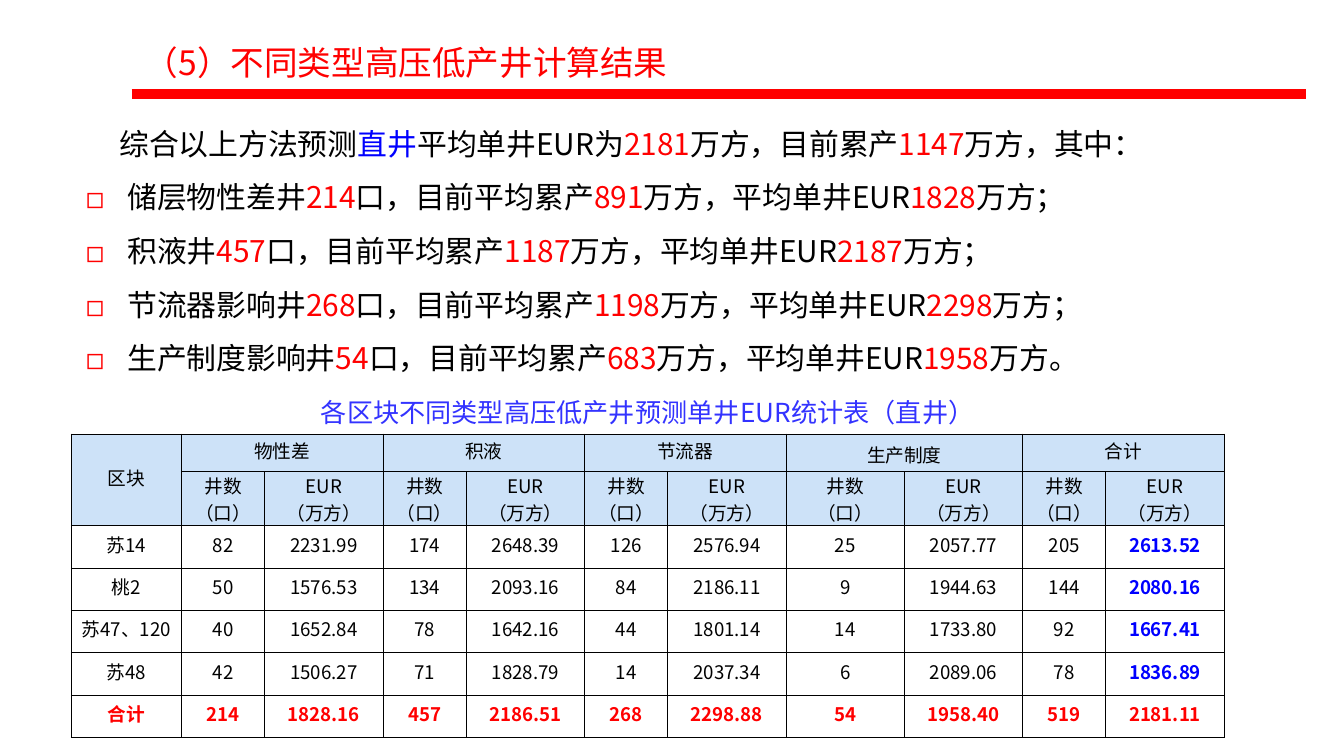
"""Build the slide of EUR results for the types of high-pressure, low-yield wells."""
import lxml.etree
import pptx
import pptx.dml.color
import pptx.enum.shapes
import pptx.enum.text
import pptx.oxml
import pptx.oxml.ns
import pptx.util

Inches, Pt = pptx.util.Inches, pptx.util.Pt
ALIGN = pptx.enum.text.PP_ALIGN
ANCHOR = pptx.enum.text.MSO_ANCHOR
qn = pptx.oxml.ns.qn

TITLE = "（5）不同类型高压低产井计算结果"
SUMMARY = [
    ("综合以上方法预测", "ink"), ("直井", "blue"), ("平均单井EUR为", "ink"), ("2181", "red"),
    ("万方，目前累产", "ink"), ("1147", "red"), ("万方，其中：", "ink"),
]
WELL_TYPES = [
    ("储层物性差井", "214", "891", "1828", "；"),
    ("积液井", "457", "1187", "2187", "；"),
    ("节流器影响井", "268", "1198", "2298", "；"),
    ("生产制度影响井", "54", "683", "1958", "。"),
]
CAPTION = "各区块不同类型高压低产井预测单井EUR统计表（直井）"
BLOCK_HEAD = "区块"
GROUPS = ["物性差", "积液", "节流器", "生产制度", "合计"]
MEASURES = ["井数\n（口）", "EUR\n（万方）"]
BLOCKS = [
    ("苏14", "82", "2231.99", "174", "2648.39", "126", "2576.94", "25", "2057.77", "205", "2613.52"),
    ("桃2", "50", "1576.53", "134", "2093.16", "84", "2186.11", "9", "1944.63", "144", "2080.16"),
    ("苏47、120", "40", "1652.84", "78", "1642.16", "44", "1801.14", "14", "1733.80", "92", "1667.41"),
    ("苏48", "42", "1506.27", "71", "1828.79", "14", "2037.34", "6", "2089.06", "78", "1836.89"),
    ("合计", "214", "1828.16", "457", "2186.51", "268", "2298.88", "54", "1958.40", "519", "2181.11"),
]

THEME = {
    "font": "Noto Sans CJK SC", "caption_font": "Noto Sans CJK JP",
    "ink": "000000", "red": "FF0000", "blue": "0000FF", "caption_blue": "3333FF", "head": "9DC8F3",
    "head_alpha": 51000, "title": 18, "body": 16, "caption": 14, "cell": 10, "rule": 5.25, "border": 0.5,
}
BOX_FORMAT = {
    "word_wrap": True, "margin_left": Inches(0.1), "margin_right": Inches(0.1),
    "margin_top": Inches(0.05), "margin_bottom": Inches(0.05),
}
CELL_FORMAT = {
    "vertical_anchor": ANCHOR.MIDDLE, "margin_left": Inches(0.01), "margin_right": Inches(0.01),
    "margin_top": Inches(0.01), "margin_bottom": Inches(0.05),
}
LOOSE_CELL_FORMAT = {
    "vertical_anchor": ANCHOR.TOP, "margin_top": Inches(0.05), "margin_bottom": Inches(0.02),
}
TIGHT_CELL_FORMAT = {**CELL_FORMAT, "margin_top": 0, "margin_bottom": 0}
TABLE_LEFT, TABLE_TOP, TABLE_WIDTH, TABLE_HEIGHT = 0.53, 3.23, 8.58, 2.25
BLOCK_WIDTH, COUNT_WIDTH, EUR_WIDTH = 0.82, 0.62, 0.88
HEAD_HEIGHTS = [0.28, 0.39]


def color(key):
    return pptx.dml.color.RGBColor.from_string(THEME[key])


def apply(target, values):
    for attribute, value in values.items():
        setattr(target, attribute, value)


def write(paragraph, pieces, size, align, font="font", bold=False):
    paragraph.alignment = align
    for text, ink in pieces:
        run = paragraph.add_run()
        run.text = text
        apply(run.font, {"name": THEME[font], "size": Pt(THEME[size]), "bold": bold})
        run.font.color.rgb = color(ink)
        east_asian = lxml.etree.SubElement(run.font._element, qn("a:ea"))
        east_asian.set("typeface", THEME[font])


def add_box(slide, left, top, width, height):
    frame = slide.shapes.add_textbox(*map(Inches, (left, top, width, height))).text_frame
    apply(frame, BOX_FORMAT)
    return frame


def add_bullet(paragraph):
    properties = paragraph._p.get_or_add_pPr()
    properties.set("marL", str(Inches(0.31)))
    properties.set("indent", str(-Inches(0.31)))
    tint = lxml.etree.SubElement(properties, qn("a:buClr"))
    lxml.etree.SubElement(tint, qn("a:srgbClr")).set("val", THEME["red"])
    lxml.etree.SubElement(properties, qn("a:buFont")).set("typeface", THEME["font"])
    lxml.etree.SubElement(properties, qn("a:buChar")).set("char", "◻")


def add_findings(slide):
    frame = add_box(slide, 0.54, 0.75, 9.1, 2.12)
    summary = frame.paragraphs[0]
    summary.line_spacing = 1.5
    summary._p.get_or_add_pPr().set("indent", str(Inches(0.25)))
    write(summary, SUMMARY, "body", ALIGN.JUSTIFY)
    for name, wells, produced, eur, ending in WELL_TYPES:
        finding = frame.add_paragraph()
        finding.line_spacing = 1.5
        add_bullet(finding)
        pieces = [(name, "ink"), (wells, "red"), ("口，目前平均累产", "ink"), (produced, "red"),
                  ("万方，平均单井EUR", "ink"), (eur, "red"), ("万方" + ending, "ink")]
        write(finding, pieces, "body", ALIGN.JUSTIFY)


def add_borders(cell):
    properties = cell._tc.get_or_add_tcPr()
    for position, side in enumerate(("a:lnL", "a:lnR", "a:lnT", "a:lnB")):
        border = properties.makeelement(qn(side), {"w": str(Pt(THEME["border"]))})
        fill = lxml.etree.SubElement(border, qn("a:solidFill"))
        lxml.etree.SubElement(fill, qn("a:srgbClr")).set("val", THEME["ink"])
        properties.insert(position, border)


def fill_cell(cell, text, ink="ink", bold=False, header=False, layout=CELL_FORMAT):
    apply(cell, layout)
    if header:
        cell.fill.solid()
        cell.fill.fore_color.rgb = color("head")
        tint = cell._tc.tcPr.find(".//" + qn("a:srgbClr"))
        lxml.etree.SubElement(tint, qn("a:alpha")).set("val", str(THEME["head_alpha"]))
    else:
        cell.fill.background()
    add_borders(cell)
    cell.text_frame.paragraphs[0].font.size = Pt(THEME["cell"])
    for index, line in enumerate(text.split("\n") if text else []):
        paragraph = cell.text_frame.add_paragraph() if index else cell.text_frame.paragraphs[0]
        write(paragraph, [(line, ink)], "cell", ALIGN.CENTER, bold=bold)


def add_statistics(slide):
    widths = [BLOCK_WIDTH]
    for group in GROUPS:
        widths += [EUR_WIDTH if group == "生产制度" else COUNT_WIDTH, EUR_WIDTH]
    body_height = (TABLE_HEIGHT - sum(HEAD_HEIGHTS)) / len(BLOCKS)
    heights = HEAD_HEIGHTS + [body_height] * len(BLOCKS)
    area = map(Inches, (TABLE_LEFT, TABLE_TOP, TABLE_WIDTH, TABLE_HEIGHT))
    table = slide.shapes.add_table(len(heights), len(widths), *area).table
    apply(table, {"first_row": False, "horz_banding": False})
    for column, width in zip(table.columns, widths):
        column.width = Inches(width)
    for row, height in zip(table.rows, heights):
        row.height = Inches(height)

    group_heads = [text for group in GROUPS for text in (group, "")]
    for column, text in enumerate([BLOCK_HEAD] + group_heads):
        layout = LOOSE_CELL_FORMAT if text == "生产制度" else TIGHT_CELL_FORMAT if not text else CELL_FORMAT
        fill_cell(table.cell(0, column), text, header=True, layout=layout)
    for column, text in enumerate([""] + MEASURES * len(GROUPS)):
        fill_cell(table.cell(1, column), text, header=True, layout=TIGHT_CELL_FORMAT)
    table.cell(0, 0).merge(table.cell(1, 0))
    for column in range(1, len(widths), len(MEASURES)):
        table.cell(0, column).merge(table.cell(0, column + 1))

    for row, block in enumerate(BLOCKS, len(HEAD_HEIGHTS)):
        is_total = row == len(heights) - 1
        for column, value in enumerate(block):
            is_overall = column == len(widths) - 1
            ink = "red" if is_total else "blue" if is_overall else "ink"
            fill_cell(table.cell(row, column), value, ink, is_total or is_overall)


def main():
    deck = pptx.Presentation()
    apply(deck, {"slide_width": Inches(10), "slide_height": Inches(10) * 9 // 16})
    slide = deck.slides.add_slide(deck.slide_layouts[6])

    ends = map(Inches, (0.98, 0.7, 9.72, 0.7))
    rule = slide.shapes.add_connector(pptx.enum.shapes.MSO_CONNECTOR.STRAIGHT, *ends)
    rule.line.color.rgb = color("red")
    rule.line.width = Pt(THEME["rule"])
    lxml.etree.SubElement(rule._element.spPr, qn("a:effectLst"))

    add_statistics(slide)
    caption = add_box(slide, TABLE_LEFT, 2.9, TABLE_WIDTH, 0.34)
    write(caption.paragraphs[0], [(CAPTION, "caption_blue")], "caption", ALIGN.CENTER, "caption_font")
    add_findings(slide)
    title = add_box(slide, 0.98, 0.26, 4.8, 0.4)
    write(title.paragraphs[0], [(TITLE, "red")], "title", ALIGN.LEFT)
    deck.save("out.pptx")


if __name__ == "__main__":
    main()
